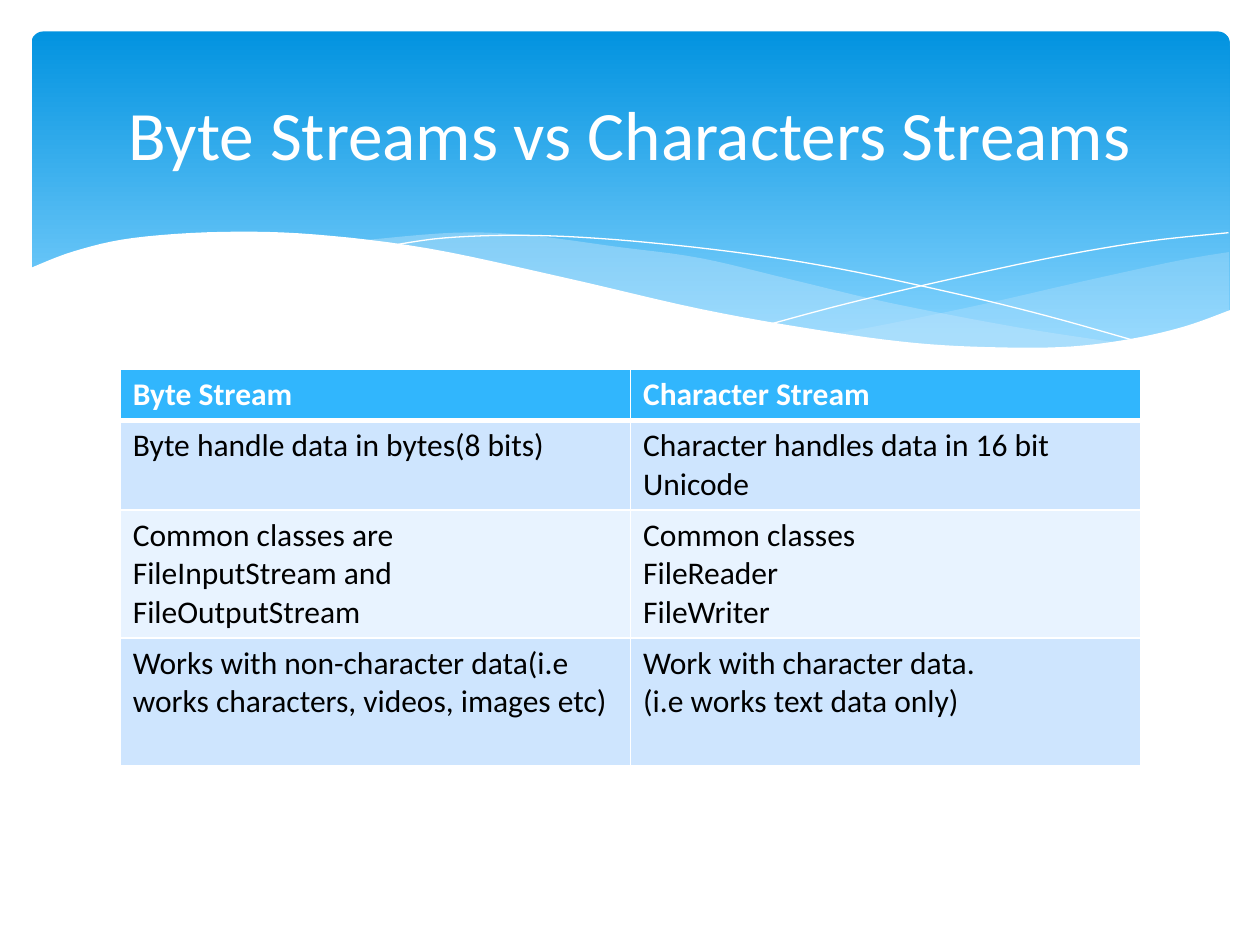
from dataclasses import dataclass

from lxml import etree
from pptx import Presentation
from pptx.dml.color import RGBColor
from pptx.enum.shapes import MSO_SHAPE
from pptx.enum.text import MSO_ANCHOR, MSO_AUTO_SIZE, PP_ALIGN
from pptx.oxml.ns import qn
from pptx.util import Pt

ROUNDED = MSO_SHAPE.ROUNDED_RECTANGLE
MIDDLE, TOP = MSO_ANCHOR.MIDDLE, MSO_ANCHOR.TOP
LEFT, CENTER = PP_ALIGN.LEFT, PP_ALIGN.CENTER
NO_AUTOFIT = MSO_AUTO_SIZE.NONE
TITLE_ONLY = 5


@dataclass(frozen=True)
class Theme:
    font: str = "Calibri"
    title_size: float = 39.6
    table_size: float = 18
    white: str = "FFFFFF"
    black: str = "000000"
    banner_top: str = "0293E0"
    banner_bottom: str = "83D3FE"
    wave: str = "C6E7FC"
    header: str = "31B6FD"
    bands: tuple = ("CEE5FE", "E8F3FF")


THEME = Theme()

FAR_WAVE = (
    [(684.5, 126), (655, 131), (602, 142.5), (543, 156), (490, 167), (458, 173)],
    [(458, 173), (500, 178), (536, 181), (575, 181.5), (610, 179),
     (639, 174), (665, 167), (684.5, 160)],
)
NEAR_WAVE = (
    [(625, 178.5), (563, 169), (490, 155), (435, 142), (382, 129.5),
     (334, 123), (284, 116.5), (242, 115), (188, 119.5)],
    [(188, 119.5), (243, 128), (305, 142), (364, 155), (427, 168),
     (482, 176.5), (530, 181), (571, 182), (599, 181.5), (625, 178.5)],
)
FALLING_LINE = [(204.5, 122.5), (236, 118), (281, 116.5), (334, 119), (401, 126),
                (461, 135.5), (529, 150), (580, 162.5), (635, 178)]
RISING_LINE = [(423, 167), (466, 155.5), (521, 142.5), (584, 129), (637, 120), (684, 115)]
LOWER_EDGE = [(-1.4, 135.5), (24.5, 125.5), (58, 118), (109, 114.5), (162, 116),
              (227, 124), (304, 140.5), (382, 158.5), (449, 170.5), (505, 178),
              (553, 180.5), (594, 180), (629, 175.5), (659, 168.5), (685.4, 159)]
LOWER_CORNERS = [(685.4, 219), (-1.4, 219)]

COMPARISON = [
    ("Byte Stream", "Character Stream"),
    ("Byte handle data in bytes(8 bits)", "Character handles data in 16 bit Unicode"),
    ("Common classes are\nFileInputStream and\nFileOutputStream",
     "Common classes\nFileReader\nFileWriter"),
    ("Works with non-character data(i.e works characters, videos, images etc)",
     "Work with character data.\n(i.e works text data only)"),
]
ROW_HEIGHTS = (29.2, 51.2, 73.1, 73.1)


def rgb(color):
    return RGBColor.from_string(color)


def write_text(frame, text, size, color, bold=False, align=LEFT, anchor=TOP):
    frame.text = text
    frame.word_wrap = True
    frame.vertical_anchor = anchor
    for paragraph in frame.paragraphs:
        paragraph.alignment = align
        font = paragraph.runs[0].font
        font.name, font.size, font.bold = THEME.font, Pt(size), bold
        font.color.rgb = rgb(color)


def smooth(knots, steps=6):
    padded = [knots[0], *knots, knots[-1]]
    curve = [knots[0]]
    for a, b, c, d in zip(padded, padded[1:], padded[2:], padded[3:]):
        for step in range(1, steps + 1):
            t = step / steps
            curve.append(tuple(
                q + t / 2 * (r - p + t * (2 * p - 5 * q + 4 * r - s
                                          + t * (3 * q - p - 3 * r + s)))
                for p, q, r, s in zip(a, b, c, d)))
    return curve


def draw_outline(slide, box, points, fill=None, opacity=None, line=None):
    left, top = box[:2]
    start, *rest = [(Pt(left + x), Pt(top + y)) for x, y in points]
    builder = slide.shapes.build_freeform(*start)
    builder.add_line_segments(rest, close=fill is not None)
    outline = builder.convert_to_shape()
    outline.shadow.inherit = False
    if fill:
        outline.fill.solid()
        outline.fill.fore_color.rgb = rgb(fill)
    else:
        outline.fill.background()
    if opacity:
        color = outline.fill._xPr.find(qn("a:solidFill"))[0]
        etree.SubElement(color, qn("a:alpha"), val=str(opacity * 1000))
    if line:
        outline.line.color.rgb = rgb(line)
        outline.line.width = Pt(0)
    else:
        outline.line.fill.background()


def add_banner(slide, box):
    banner = slide.shapes.add_shape(ROUNDED, *map(Pt, box))
    banner.adjustments[0] = 0.034
    banner.shadow.inherit = False
    banner.line.fill.background()
    banner.fill.gradient()
    banner.fill.gradient_angle = 270
    stops = ((0, THEME.banner_top), (0.9, THEME.banner_bottom))
    for stop, (position, color) in zip(banner.fill.gradient_stops, stops):
        stop.position = position
        stop.color.rgb = rgb(color)

    for (upper, lower), opacity in ((FAR_WAVE, 29), (NEAR_WAVE, 40)):
        draw_outline(slide, box, smooth(upper) + smooth(lower)[1:],
                     fill=THEME.wave, opacity=opacity)
    for knots in (FALLING_LINE, RISING_LINE):
        draw_outline(slide, box, smooth(knots), line=THEME.white)
    draw_outline(slide, box, smooth(LOWER_EDGE) + LOWER_CORNERS, fill=THEME.white)


def add_title(slide, box, text):
    title = slide.shapes.title
    title.left, title.top, title.width, title.height = map(Pt, box)
    write_text(title.text_frame, text, THEME.title_size, THEME.white,
               align=CENTER, anchor=MIDDLE)
    title.text_frame.auto_size = NO_AUTOFIT
    slide.shapes._spTree.append(title._element)


def set_borders(cell, widths):
    properties = cell._tc.get_or_add_tcPr()
    for index, (side, width) in enumerate(widths.items()):
        border = etree.Element(qn(f"a:ln{side}"), w=str(Pt(width)))
        fill = etree.SubElement(border, qn("a:solidFill"))
        etree.SubElement(fill, qn("a:srgbClr"), val=THEME.white)
        properties.insert(index, border)


def add_comparison(slide, box, rows):
    table = slide.shapes.add_table(len(rows), len(rows[0]), *map(Pt, box)).table
    table.horz_banding = False
    for column in table.columns:
        column.width = Pt(box[2] / len(rows[0]))
    for r, (texts, height) in enumerate(zip(rows, ROW_HEIGHTS)):
        table.rows[r].height = Pt(height)
        header = r == 0
        for c, text in enumerate(texts):
            cell = table.cell(r, c)
            cell.fill.solid()
            cell.fill.fore_color.rgb = rgb(THEME.header if header else THEME.bands[(r - 1) % 2])
            write_text(cell.text_frame, text, THEME.table_size,
                       THEME.white if header else THEME.black, bold=header)
            set_borders(cell, {"L": 1, "R": 1, "T": 3 if r == 1 else 1,
                               "B": 3 if header else 1})


def main():
    deck = Presentation()
    deck.slide_width, deck.slide_height = Pt(720), Pt(540)
    slide = deck.slides.add_slide(deck.slide_layouts[TITLE_ONLY])
    add_banner(slide, (18, 18, 684.7, 194.4))
    add_comparison(slide, (68.7, 211, 583.2, sum(ROW_HEIGHTS)), COMPARISON)
    add_title(slide, (36, 26.6, 648, 98.6), "Byte Streams vs Characters Streams")
    deck.save("out.pptx")


if __name__ == "__main__":
    main()
